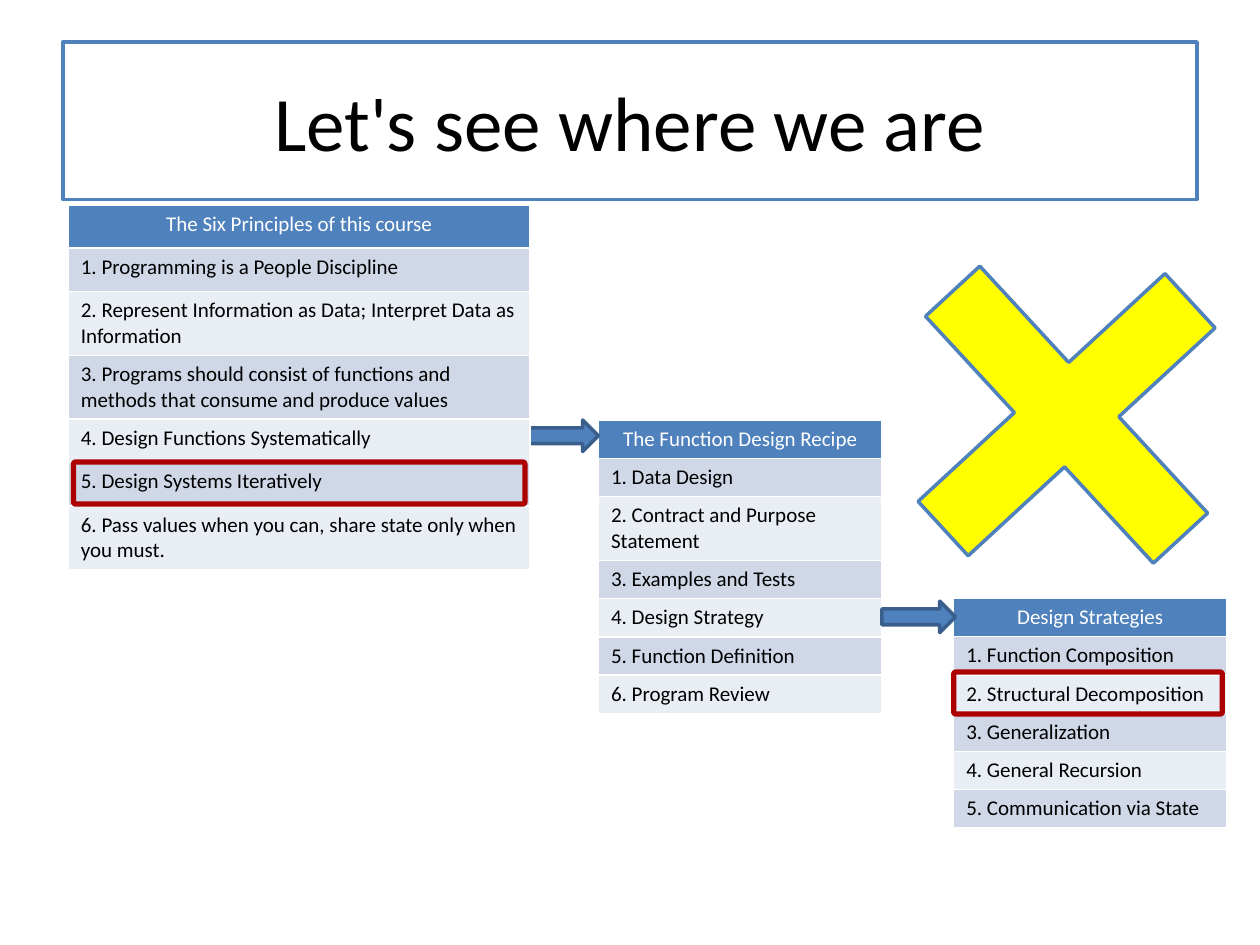
from dataclasses import dataclass

from pptx import Presentation
from pptx.dml.color import RGBColor
from pptx.enum import shapes, text
from pptx.util import Pt


@dataclass(frozen=True)
class Theme:
    font: str = "Calibri"
    title_size: int = 44
    body_size: int = 12
    black: str = "000000"
    white: str = "FFFFFF"
    blue: str = "4F81BD"
    dark_blue: str = "3A5F8C"
    bands: tuple = ("D0D8E8", "E9EDF4")
    red: str = "AC0000"
    yellow: str = "FFFF00"


THEME = Theme()
KIND = shapes.MSO_SHAPE

PRINCIPLES = [
    "The Six Principles of this course",
    "1. Programming is a People Discipline",
    "2. Represent Information as Data; Interpret Data as Information",
    "3. Programs should consist of functions and methods that consume and produce values",
    "4. Design Functions Systematically",
    "5. Design Systems Iteratively",
    "6. Pass values when you can, share state only when you must.",
]
RECIPE = [
    "The Function Design Recipe",
    "1. Data Design",
    "2. Contract and Purpose Statement",
    "3. Examples and Tests",
    "4. Design Strategy",
    "5. Function Definition",
    "6. Program Review",
]
STRATEGIES = [
    "Design Strategies",
    "1. Function Composition",
    "2. Structural Decomposition",
    "3. Generalization",
    "4. General Recursion",
    "5. Communication via State",
]


def rgb(value):
    return RGBColor.from_string(value)


def style_text(p, size, color, align):
    p.alignment = align
    p.font.name = THEME.font
    p.font.size = Pt(size)
    p.font.bold = False
    p.font.color.rgb = rgb(color)


def add_box(s, kind, box, line, width, fill=None):
    """Add a preset shape; without a fill colour it is see-through."""
    sp = s.shapes.add_shape(kind, *map(Pt, box))
    sp.shadow.inherit = False
    if fill:
        sp.fill.solid()
        sp.fill.fore_color.rgb = rgb(fill)
    else:
        sp.fill.background()
    sp.line.color.rgb = rgb(line)
    sp.line.width = Pt(width)
    return sp


def add_title(s, box, title):
    sp = add_box(s, KIND.RECTANGLE, box, THEME.blue, 2.25, THEME.white)
    tf = sp.text_frame
    tf.word_wrap = True
    tf.vertical_anchor = text.MSO_ANCHOR.MIDDLE
    tf.text = title
    style_text(tf.paragraphs[0], THEME.title_size, THEME.black, text.PP_ALIGN.CENTER)


def add_list(s, left, top, width, lines, row_height, tall_rows=(), tall_height=36.4):
    """Add a one-column table: a header, then banded rows."""
    heights = [tall_height if i in tall_rows else row_height for i in range(len(lines))]
    box = (left, top, width, sum(heights))
    table = s.shapes.add_table(len(lines), 1, *map(Pt, box)).table
    for i, (line, height) in enumerate(zip(lines, heights)):
        table.rows[i].height = Pt(height)
        cell = table.cell(i, 0)
        cell.text = line
        cell.fill.solid()
        if i == 0:
            fill, color, align = THEME.blue, THEME.white, text.PP_ALIGN.CENTER
        else:
            fill, color, align = THEME.bands[(i - 1) % 2], THEME.black, text.PP_ALIGN.LEFT
        cell.fill.fore_color.rgb = rgb(fill)
        style_text(cell.text_frame.paragraphs[0], THEME.body_size, color, align)


def add_arrow(s, left, top):
    add_box(s, KIND.RIGHT_ARROW, (left, top, 42, 18), THEME.dark_blue, 2, THEME.blue)


def add_highlight(s, left, top, width):
    sp = add_box(s, KIND.ROUNDED_RECTANGLE, (left, top, width, 24), THEME.red, 3)
    sp.adjustments[0] = 0.05


def add_cross(s, box):
    sp = add_box(s, KIND.CROSS, box, THEME.blue, 2, THEME.yellow)
    sp.adjustments[0] = 0.39
    sp.rotation = 47.3


def main():
    prs = Presentation()
    prs.slide_width, prs.slide_height = Pt(720), Pt(540)
    s = prs.slides.add_slide(prs.slide_layouts[6])

    add_title(s, (36, 24, 648, 90), "Let's see where we are")
    add_list(s, 342, 240, 162, RECIPE, 21.8, tall_rows=(2,))
    add_arrow(s, 300, 240)
    add_list(s, 39, 117, 264, PRINCIPLES, 24.8, tall_rows=(2, 3, 6))
    add_list(s, 545, 342, 156, STRATEGIES, 21.8)
    add_arrow(s, 504, 343.5)
    add_highlight(s, 545, 384, 153.5)
    add_highlight(s, 42, 264, 258)
    add_cross(s, (513.5, 141, 192, 192))

    prs.save("out.pptx")


if __name__ == "__main__":
    main()
